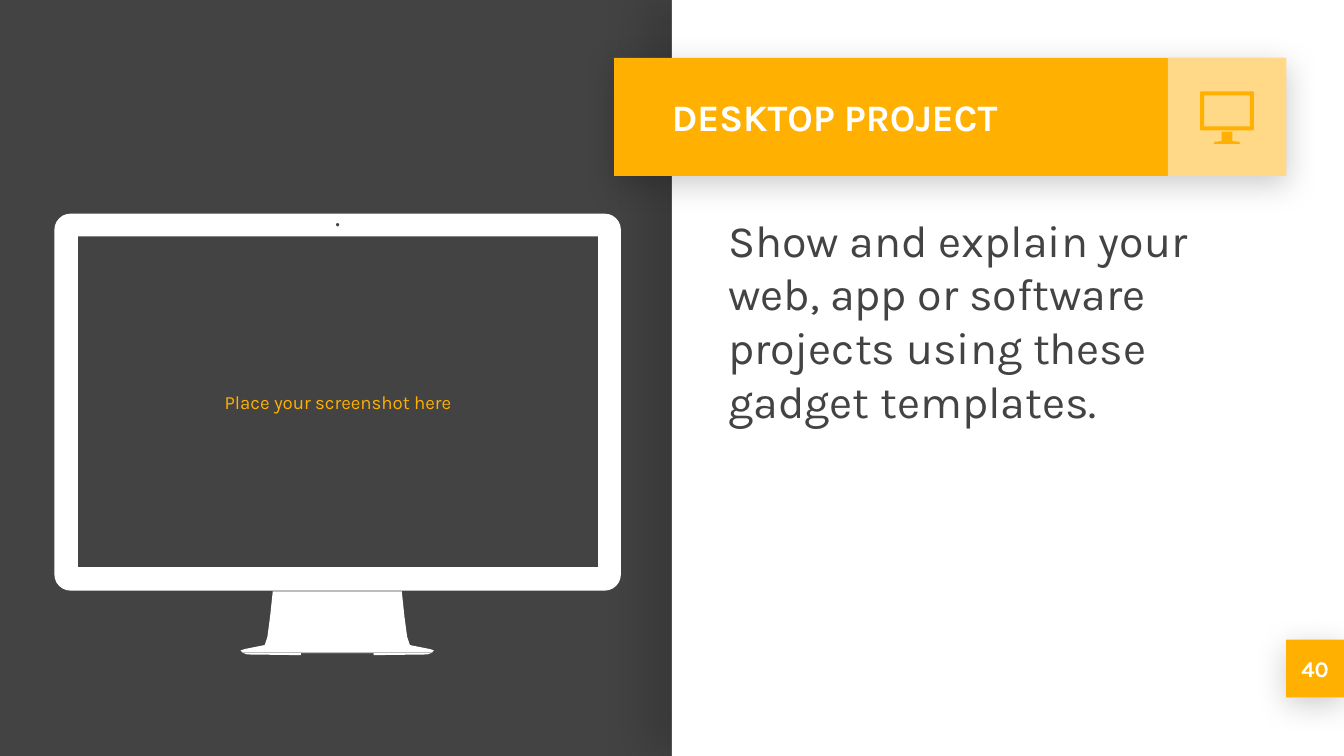
from math import cos, pi, sin

from lxml.etree import SubElement
from pptx import Presentation
from pptx.dml.color import RGBColor
from pptx.enum.shapes import MSO_SHAPE
from pptx.enum.text import MSO_ANCHOR, PP_ALIGN
from pptx.oxml.ns import qn
from pptx.util import Inches, Pt

DARK = RGBColor(0x43, 0x43, 0x43)
AMBER = RGBColor(0xFF, 0xB0, 0x00)
WHITE = RGBColor(0xFF, 0xFF, 0xFF)
FONT = "Karla"
CELL = Inches(0.1)
SIDE_SHADOW = (15, 22.5, 15, 180)
DROP_SHADOW = (20, 16.9, 3.8, 90)


def rounded(x, y, w, h, r=0, steps=6):
    if not r:
        return [(x, y), (x + w, y), (x + w, y + h), (x, y + h)]
    centres = [(x + w - r, y + h - r), (x + r, y + h - r), (x + r, y + r), (x + w - r, y + r)]
    return [
        (cx + r * cos((k + i / steps) * pi / 2), cy + r * sin((k + i / steps) * pi / 2))
        for k, (cx, cy) in enumerate(centres)
        for i in range(steps + 1)
    ]


def mirrored(half, axis):
    return half + [(2 * axis - x, y) for x, y in reversed(half)]


class Deck:
    """Style and current slide, measured on a grid of 100 columns by 56.25 rows."""

    def __init__(self):
        self.prs = Presentation()
        self.prs.slide_width = 100 * CELL
        self.prs.slide_height = int(56.25 * CELL)

    def slide(self, color):
        self.s = self.prs.slides.add_slide(self.prs.slide_layouts[6])
        self.s.background.fill.solid()
        self.s.background.fill.fore_color.rgb = color

    def paint(self, sp, color):
        sp.fill.solid()
        sp.fill.fore_color.rgb = color
        sp.line.fill.background()
        sp.shadow.inherit = False

    def box(self, at, color, shadow=None, alpha=None):
        sp = self.s.shapes.add_shape(MSO_SHAPE.RECTANGLE, *(int(v * CELL) for v in at))
        self.paint(sp, color)
        spPr = sp._element.spPr
        if alpha:
            clr = spPr.find(qn("a:solidFill")).find(qn("a:srgbClr"))
            SubElement(clr, qn("a:alpha"), val=str(alpha * 1000))
        if shadow:
            opacity, blur, dist, angle = shadow
            outer = SubElement(
                spPr.find(qn("a:effectLst")), qn("a:outerShdw"),
                blurRad=str(Pt(blur)), dist=str(Pt(dist)), dir=str(angle * 60000),
                algn="bl", rotWithShape="0",
            )
            clr = SubElement(outer, qn("a:srgbClr"), val="000000")
            SubElement(clr, qn("a:alpha"), val=str(opacity * 1000))

    def outline(self, contours, color):
        first, *rest = [[(x * CELL, y * CELL) for x, y in c] for c in contours]
        fb = self.s.shapes.build_freeform(*first[0])
        fb.add_line_segments(first[1:])
        for contour in rest:
            fb.move_to(*contour[0])
            fb.add_line_segments(contour[1:])
        self.paint(fb.convert_to_shape(), color)

    def text(self, at, words, size, color, bold=False, align=PP_ALIGN.LEFT,
             anchor=MSO_ANCHOR.MIDDLE, before=0):
        tf = self.s.shapes.add_textbox(*(int(v * CELL) for v in at)).text_frame
        tf.word_wrap = True
        tf.vertical_anchor = anchor
        tf.margin_left = tf.margin_right = tf.margin_top = tf.margin_bottom = CELL
        p = tf.paragraphs[0]
        p.text = words
        p.alignment = align
        p.space_before = Pt(before)
        font = p.runs[0].font
        font.name, font.size, font.bold = FONT, Pt(size), bold
        font.color.rgb = color


def main():
    deck = Deck()
    deck.slide(DARK)
    badge = (95.7, 47.6, 4.3, 4.3)
    screen = (5.8, 17.6, 38.7, 24.6)

    deck.box((50, 0, 50, 56.25), WHITE, SIDE_SHADOW)
    deck.box(badge, AMBER, DROP_SHADOW)
    deck.box((45.7, 4.3, 50, 8.8), AMBER, DROP_SHADOW)
    deck.box((86.9, 4.3, 8.8, 8.8), WHITE, alpha=53)

    stand = [(18, 48.5), (17.9, 48.4), (18.2, 48.3), (19.7, 48), (19.9, 47.4),
             (20.1, 45.9), (20.3, 44)]
    foot = [(18, 48.55), (18.4, 48.7), (22.4, 48.75), (22.4, 48.6)]
    deck.outline([
        rounded(4.05, 15.9, 42.15, 28.05, 1.2),
        rounded(*screen),
        rounded(25, 16.6, 0.25, 0.25, 0.12),
        mirrored(stand, 25.1),
        mirrored(foot, 25.1),
    ], WHITE)

    deck.text((53.2, 14.8, 41.3, 32.1), "Show and explain your web, app or software projects "
              "using these gadget templates.", 24, DARK, anchor=MSO_ANCHOR.TOP, before=6)
    deck.text(screen, "Place your screenshot here", 10, AMBER, align=PP_ALIGN.CENTER)
    deck.text(badge, "40", 12, WHITE, bold=True, align=PP_ALIGN.CENTER)
    deck.text((49, 4.3, 37.8, 8.8), "DESKTOP PROJECT", 20, WHITE, bold=True)

    icon_foot = [(90.3, 10.7), (90.4, 10.55), (90.9, 10.5), (90.9, 9.8)]
    deck.outline([mirrored(icon_foot, 91.3)], AMBER)
    deck.outline([rounded(89.3, 6.8, 4, 2.9, 0.1), rounded(89.6, 7.1, 3.4, 2.3)], AMBER)
    deck.prs.save("out.pptx")


if __name__ == "__main__":
    main()
